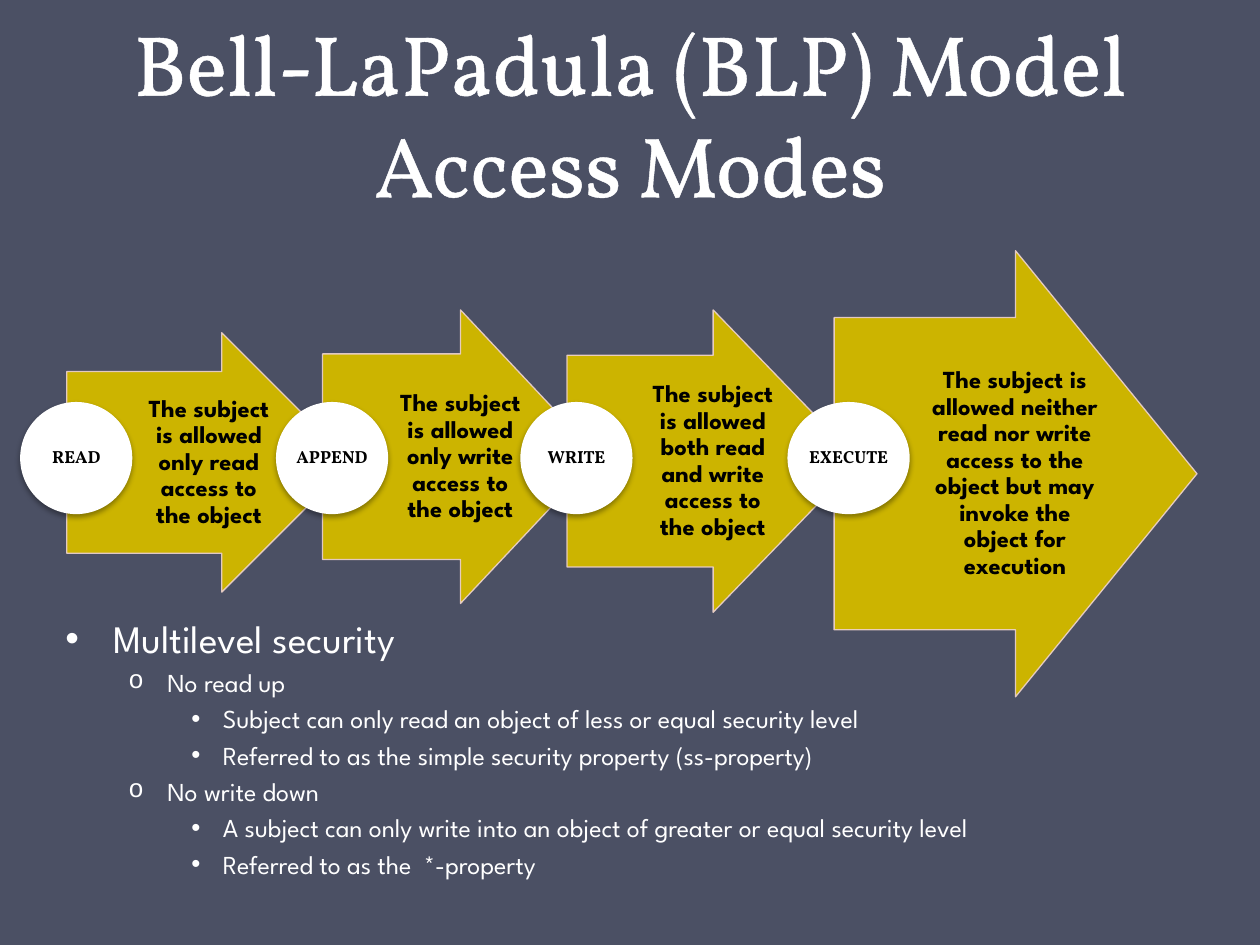
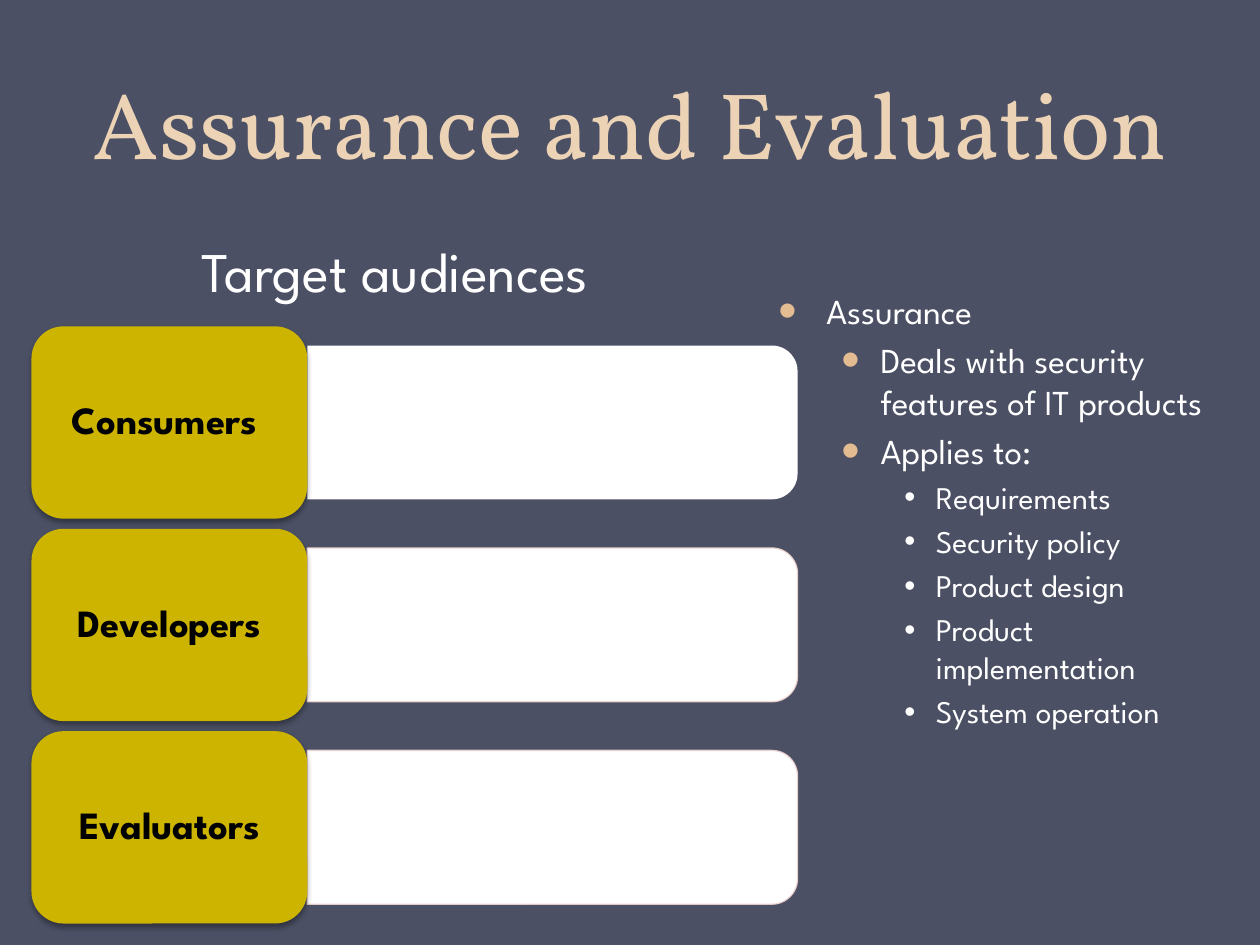
from dataclasses import dataclass

from lxml.etree import SubElement as Sub
from pptx import Presentation
from pptx.dml.color import RGBColor
from pptx.enum.shapes import MSO_SHAPE as Shape
from pptx.enum.text import MSO_ANCHOR as Anchor, MSO_AUTO_SIZE as AutoSize, PP_ALIGN as Align
from pptx.oxml.ns import qn
from pptx.util import Inches, Pt

# The slide is a grid of 10 columns and 7.5 rows of square cells
COLUMNS, ROWS = 10, 7.5
CELL = Inches(1)
TITLE_ONLY = 5

SLATE, GOLD, WHITE, BLACK = "4B5064", "CCB400", "FFFFFF", "000000"
PEACH, TAN, EDGE = "EDD3B6", "E3BC92", "EED3D0"
SANS, SERIF = "League Spartan", "Vollkorn"


@dataclass
class Box:
    """A place on the grid, in columns and rows."""
    left: float
    top: float
    width: float
    height: float

    def inner(self, left, top, width, height):
        """A box inside this one, given in shares of its size."""
        return Box(self.left + left * self.width, self.top + top * self.height,
                   width * self.width, height * self.height)

    def turned(self):
        """The box that fills this one after a quarter turn."""
        shift = (self.width - self.height) / 2
        return Box(self.left + shift, self.top - shift, self.height, self.width)

    def lengths(self):
        return [round(cells * CELL) for cells in (self.left, self.top, self.width, self.height)]


@dataclass
class Bullet:
    """How one kind of list entry looks."""
    level: int
    size: float
    indent: float
    hang: float
    sign: str = "•"
    sign_font: str = "Arial"
    sign_color: str = ""


# Shared helpers
def color(hex_text):
    return RGBColor.from_string(hex_text)


def add_color(parent, hex_text, alpha=100):
    """Write a colour element, with an opacity in percent."""
    node = Sub(parent, qn("a:srgbClr"), val=hex_text)
    if alpha < 100:
        Sub(node, qn("a:alpha"), val=str(alpha * 1000))


def add_span(para, text, size, font, ink, bold=False):
    span = para.add_run()
    span.text = text
    span.font.size = Pt(size)
    span.font.name = font
    span.font.bold = bold
    span.font.color.rgb = color(ink)
    return span


def add_text_box(page, box):
    text_box = page.shapes.add_textbox(*box.lengths())
    text_box.text_frame.word_wrap = True
    return text_box.text_frame


def add_label(frame, text, size, font, insets):
    """Bold black centred text in a shape or a text box."""
    frame.word_wrap = True
    frame.vertical_anchor = Anchor.MIDDLE
    (frame.margin_left, frame.margin_top,
     frame.margin_right, frame.margin_bottom) = [Inches(inset) for inset in insets]
    para = frame.paragraphs[0]
    para.alignment = Align.CENTER
    para.line_spacing = 0.9
    add_span(para, text, size, font, BLACK, bold=True)


def add_figure(page, kind, box, fill, edged=False, shaded=False):
    """A filled preset shape, with a thin edge or a soft shadow if asked."""
    figure = page.shapes.add_shape(kind, *box.lengths())
    figure.shadow.inherit = False
    figure.fill.solid()
    figure.fill.fore_color.rgb = color(fill)
    if edged:
        figure.line.width = Pt(0.75)
        figure.line.color.rgb = color(EDGE)
        edge_color = figure._element.spPr.find(qn("a:ln")).find(".//" + qn("a:srgbClr"))
        Sub(edge_color, qn("a:alpha"), val="90000")
    else:
        figure.line.fill.background()
    if shaded:
        effects = figure._element.spPr.find(qn("a:effectLst"))
        shade = Sub(effects, qn("a:outerShdw"), blurRad=str(Pt(3.1)), dist=str(Pt(1.8)),
                    dir="5400000", rotWithShape="0")
        add_color(shade, BLACK, 35)
    return figure


def add_bullets(page, box, entries):
    """A list whose entries pair a Bullet with its text."""
    frame = add_text_box(page, box)
    for index, (bullet, text) in enumerate(entries):
        para = frame.add_paragraph() if index else frame.paragraphs[0]
        para.level = bullet.level
        if index:
            para.space_before = Pt(round(bullet.size * 0.2, 1))
        props = para._p.get_or_add_pPr()
        props.set("marL", str(Inches(bullet.indent)))
        props.set("indent", str(-Inches(bullet.hang)))
        if bullet.sign_color:
            add_color(Sub(props, qn("a:buClr")), bullet.sign_color)
            Sub(props, qn("a:buSzPct"), val="150000")
        Sub(props, qn("a:buFont"), typeface=bullet.sign_font)
        Sub(props, qn("a:buChar"), char=bullet.sign)
        add_span(para, text, bullet.size, SANS, WHITE)


def add_page(deck, title_lines, title_height, size, ink):
    """A title-only slide with its heading set at the top."""
    page = deck.slides.add_slide(deck.slide_layouts[TITLE_ONLY])
    title = page.shapes.title
    title.left, title.top, title.width, title.height = Box(0.5, 0, 9, title_height).lengths()
    frame = title.text_frame
    frame.auto_size = AutoSize.NONE
    frame.word_wrap = True
    frame.vertical_anchor = Anchor.BOTTOM
    para = frame.paragraphs[0]
    para.alignment = Align.CENTER
    para.line_spacing = Pt(58)
    for index, line in enumerate(title_lines):
        if index:
            para.add_line_break()
        span = add_span(para, line, size, SERIF, ink)
        props = span._r.get_or_add_rPr()
        stroke = props.makeelement(qn("a:ln"), {"w": str(Pt(1.45))})
        add_color(Sub(stroke, qn("a:solidFill")), WHITE)
        props.insert(0, stroke)
    return page


# Slide 1: access modes
def add_mode(page, box, disc_width, name, meaning):
    """An arrow with its meaning, and a named disc over its tail."""
    arrow = add_figure(page, Shape.RIGHT_ARROW, box, GOLD, edged=True)
    arrow.adjustments[0], arrow.adjustments[1] = 0.7, 0.5
    meaning_frame = add_text_box(page, box.inner(0.25, 0.15, 0.49, 0.7))
    add_label(meaning_frame, meaning, 14, SANS, (0.04, 0.01, 0.02, 0.01))
    disc_box = Box(box.left - 0.37, 3.19, disc_width, 0.89)
    disc = add_figure(page, Shape.OVAL, disc_box, WHITE, shaded=True)
    add_label(disc.text_frame, name, 10, SERIF, (0.01,) * 4)


def build_access_modes(deck):
    page = add_page(deck, ["Bell-LaPadula (BLP) Model", "Access Modes"], 1.75, 48.6, WHITE)
    modes = [
        (Box(0.53, 2.64, 2.26, 2.06), 0.89, "READ",
         "The subject is allowed only read access to the object"),
        (Box(2.56, 2.46, 2.19, 2.33), 0.89, "APPEND",
         "The subject is allowed only write access to the object"),
        (Box(4.5, 2.46, 2.32, 2.4), 0.89, "WRITE",
         "The subject is allowed both read and write access to the object"),
        (Box(6.62, 1.99, 2.88, 3.54), 0.97, "EXECUTE",
         "The subject is allowed neither read nor write access to the object "
         "but may invoke the object for execution"),
    ]
    for mode in modes:
        add_mode(page, *mode)

    topic = Bullet(0, 22.2, 0.38, 0.38)
    rule = Bullet(1, 14.8, 0.81, 0.31, "o", "Courier New")
    detail = Bullet(2, 14.8, 1.25, 0.25)
    add_bullets(page, Box(0.42, 4.83, 9.08, 2.42), [
        (topic, "Multilevel security"),
        (rule, "No read up"),
        (detail, "Subject can only read an object of less or equal security level"),
        (detail, "Referred to as the simple security property (ss-property)"),
        (rule, "No write down"),
        (detail, "A subject can only write into an object of greater or equal security level"),
        (detail, "Referred to as the  *-property"),
    ])


# Slide 2: audiences and assurance
def add_audiences(page, box, names):
    """Equal rows, each a named tab with an empty bar to its right."""
    tab_share, gap = 0.36, 0.08
    row_height = (box.height - gap * (len(names) - 1)) / len(names)
    for index, name in enumerate(names):
        row = Box(box.left, box.top + index * (row_height + gap), box.width, row_height)
        bar_box = row.inner(tab_share, 0.1, 1 - tab_share, 0.8).turned()
        bar = add_figure(page, Shape.ROUND_2_SAME_RECTANGLE, bar_box, WHITE, edged=index > 0)
        bar.rotation = 90
        tab = add_figure(page, Shape.ROUNDED_RECTANGLE, row.inner(0, 0, tab_share, 1),
                         GOLD, shaded=True)
        add_label(tab.text_frame, name, 22, SANS, (0.09, 0.05, 0.09, 0.05))


def build_assurance(deck):
    page = add_page(deck, ["Assurance and Evaluation"], 1.47, 54, PEACH)
    add_audiences(page, Box(0.25, 2.59, 6.08, 4.74), ["Consumers ", "Developers", "Evaluators"])

    topic = Bullet(1, 20, 0.38, 0.38, sign_color=TAN)
    point = Bullet(1, 20, 0.81, 0.31, sign_color=TAN)
    detail = Bullet(2, 18, 1.25, 0.25)
    areas = ["Requirements", "Security policy", "Product design",
             "Product implementation", "System operation"]
    add_bullets(page, Box(6.08, 2.25, 3.58, 5), [
        (topic, "Assurance"),
        (point, "Deals with security features of IT products"),
        (point, "Applies to:"),
        *[(detail, area) for area in areas],
    ])

    # Heading over the audiences
    heading = add_text_box(page, Box(1.5, 1.83, 4.42, 0.94))
    add_span(heading.paragraphs[0], "Target audiences", 32, SANS, WHITE)


def main():
    deck = Presentation()
    deck.slide_width, deck.slide_height = COLUMNS * CELL, round(ROWS * CELL)
    backdrop = deck.slide_master.background.fill
    backdrop.solid()
    backdrop.fore_color.rgb = color(SLATE)
    build_access_modes(deck)
    build_assurance(deck)
    deck.save("out.pptx")


if __name__ == "__main__":
    main()
